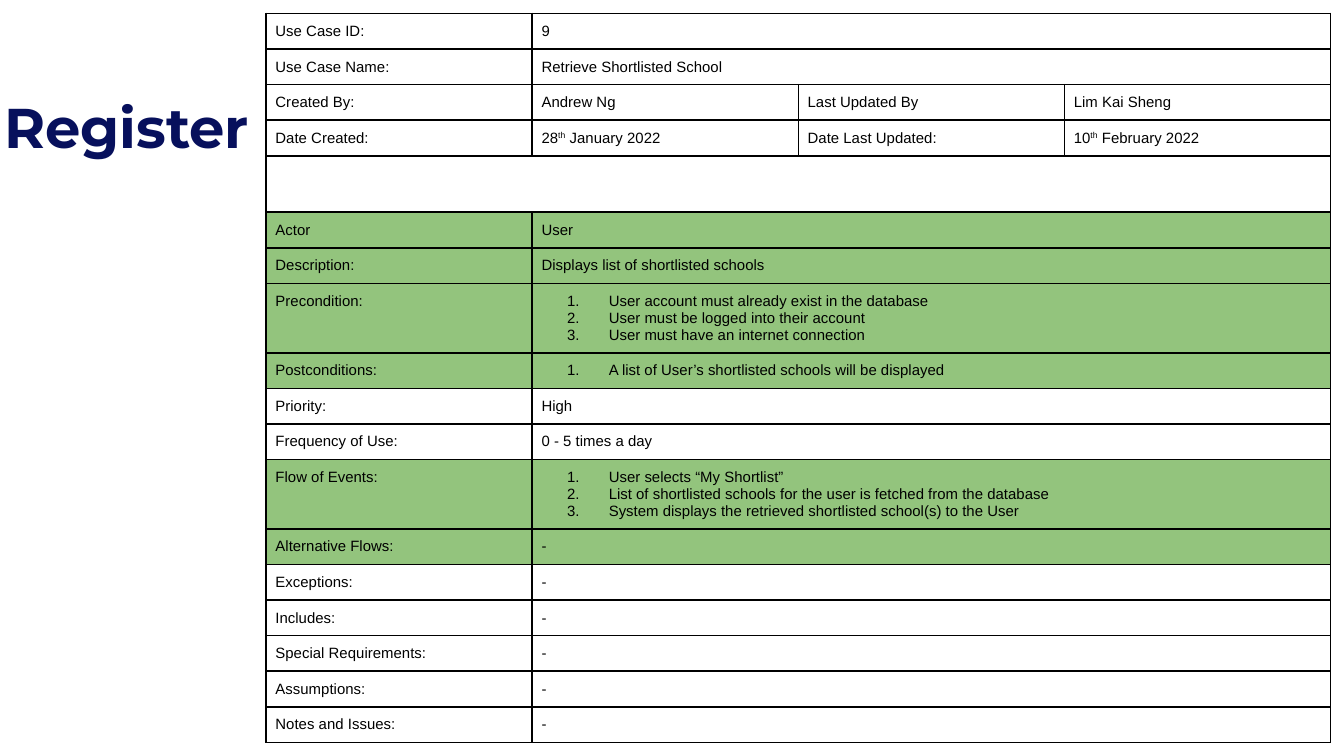
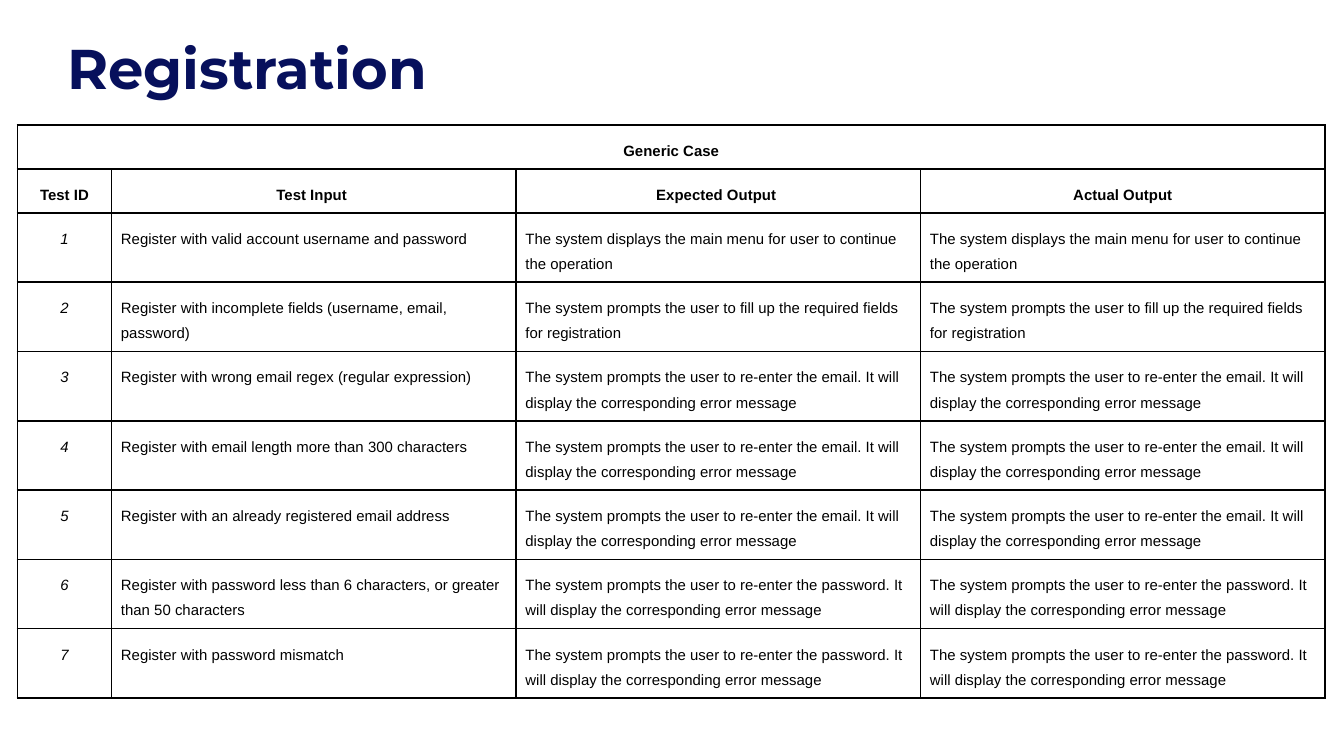
from lxml import etree
from pptx import Presentation
from pptx.dml.color import RGBColor
from pptx.enum.text import MSO_ANCHOR, MSO_AUTO_SIZE, PP_ALIGN
from pptx.oxml.ns import qn
from pptx.util import Inches, Pt

NAVY = RGBColor(0x07, 0x10, 0x5C)
BLACK = RGBColor(0, 0, 0)
GREEN = RGBColor(0x93, 0xC4, 0x7D)
TITLE_FONT = "Montserrat"
BODY_FONT = "Arial"
CELL_MARGIN = Inches(0.07)

USE_CASE_COLUMNS = [1.98] * 4
ONE_LINE, THREE_LINES, SPACER = 0.26, 0.51, 0.42

# A list holds numbered steps; ^ surrounds superscript text.
USE_CASE = [
    ["Use Case ID:", "9"],
    ["Use Case Name:", "Retrieve Shortlisted School"],
    ["Created By:", "Andrew Ng", "Last Updated By", "Lim Kai Sheng"],
    ["Date Created:", "28^th^ January 2022",
     "Date Last Updated:", "10^th^ February 2022"],
    [""],
    ["Actor", "User"],
    ["Description:", "Displays list of shortlisted schools"],
    ["Precondition:", ["User account must already exist in the database",
                       "User must be logged into their account",
                       "User must have an internet connection"]],
    ["Postconditions:",
     ["A list of User’s shortlisted schools will be displayed"]],
    ["Priority:", "High"],
    ["Frequency of Use:", "0 - 5 times a day"],
    ["Flow of Events:",
     ["User selects “My Shortlist”",
      "List of shortlisted schools for the user is fetched from the database",
      "System displays the retrieved shortlisted school(s) to the User "]],
    ["Alternative Flows:", "-"],
    ["Exceptions:", "-"],
    ["Includes:", "-"],
    ["Special Requirements:", "-"],
    ["Assumptions:", "-"],
    ["Notes and Issues:", "-"],
]
HIGHLIGHTED = {"Actor", "Description:", "Precondition:", "Postconditions:",
               "Flow of Events:", "Alternative Flows:"}

TEST_COLUMNS = [0.7, 3.01, 3.01, 3.01]
TEST_HEADINGS = ["Test ID", "Test Input ", "Expected Output ", "Actual Output"]
HEADING_HEIGHT, TEST_HEIGHT = 0.32, 0.51
MAIN_MENU = "The system displays the main menu for user to continue the operation"
FILL_FIELDS = ("The system prompts the user to fill up the required fields "
               "for registration")
RE_ENTER = ("The system prompts the user to re-enter the {}. "
            "It will display the corresponding error message")
TESTS = [
    ("Register with valid account username and password", MAIN_MENU),
    ("Register with incomplete fields (username, email, password)", FILL_FIELDS),
    ("Register with wrong email regex (regular expression)",
     RE_ENTER.format("email")),
    ("Register with email length more than 300 characters",
     RE_ENTER.format("email")),
    ("Register with an already registered email address",
     RE_ENTER.format("email")),
    ("Register with password less than 6 characters, or greater than 50 characters",
     RE_ENTER.format("password")),
    ("Register with password mismatch", RE_ENTER.format("password")),
]


def add_titled_slide(prs, heading, left, top):
    slide = prs.slides.add_slide(prs.slide_layouts[5])
    title = slide.shapes.title
    title.left, title.top = Inches(left), Inches(top)
    title.width, title.height = Inches(5.42), Inches(0.48)
    frame = title.text_frame
    frame.auto_size = MSO_AUTO_SIZE.NONE
    frame.word_wrap = True
    frame.vertical_anchor = MSO_ANCHOR.TOP
    frame.margin_left = frame.margin_right = Inches(0.1)
    frame.margin_top = frame.margin_bottom = Inches(0.1)
    paragraph = frame.paragraphs[0]
    paragraph.alignment = PP_ALIGN.LEFT
    run = paragraph.add_run()
    run.text = heading
    style_font(run.font, TITLE_FONT, 30, NAVY, bold=True)
    return slide


def style_font(font, name, size, color, bold=False, italic=False):
    font.name, font.size = name, Pt(size)
    font.bold, font.italic = bold, italic
    font.color.rgb = color


def add_grid(slide, left, top, columns, rows):
    """Add a plain table with black borders on every cell."""
    frame = slide.shapes.add_table(
        len(rows), len(columns), Inches(left), Inches(top),
        Inches(sum(columns)), Inches(sum(rows)))
    table = frame.table
    table.first_row = table.horz_banding = False
    for column, width in zip(table.columns, columns):
        column.width = Inches(width)
    for row, height in zip(table.rows, rows):
        row.height = Inches(height)
    for cell in table.iter_cells():
        add_borders(cell)
        cell.fill.background()
    return table


def add_borders(cell):
    properties = cell._tc.get_or_add_tcPr()
    for side in ("lnL", "lnR", "lnT", "lnB"):
        line = etree.SubElement(properties, qn(f"a:{side}"), w=str(Pt(1)))
        fill = etree.SubElement(line, qn("a:solidFill"))
        etree.SubElement(fill, qn("a:srgbClr"), val=str(BLACK))


def number_paragraph(paragraph):
    properties = paragraph._p.get_or_add_pPr()
    properties.set("marL", str(Inches(0.5)))
    properties.set("indent", str(Inches(-0.31)))
    color = etree.SubElement(properties, qn("a:buClr"))
    etree.SubElement(color, qn("a:srgbClr"), val=str(BLACK))
    etree.SubElement(properties, qn("a:buFont"), typeface=BODY_FONT)
    etree.SubElement(properties, qn("a:buAutoNum"), type="arabicPeriod")


def write_cell(cell, content, align, spacing=None, bold=False, italic=False):
    cell.margin_left = cell.margin_right = CELL_MARGIN
    cell.margin_top = cell.margin_bottom = CELL_MARGIN
    numbered = isinstance(content, list)
    frame = cell.text_frame
    for index, line in enumerate(content if numbered else [content]):
        paragraph = frame.add_paragraph() if index else frame.paragraphs[0]
        paragraph.alignment = align
        if spacing:
            paragraph.line_spacing = spacing
        if numbered:
            number_paragraph(paragraph)
        for position, part in enumerate(line.split("^")):
            run = paragraph.add_run()
            run.text = part
            style_font(run.font, BODY_FONT, 8, BLACK, bold, italic)
            if position % 2:
                run._r.get_or_add_rPr().set("baseline", "30000")


def use_case_height(entry):
    if len(entry) == 1:
        return SPACER
    return THREE_LINES if isinstance(entry[1], list) and len(entry[1]) == 3 else ONE_LINE


def build_use_case(prs):
    slide = add_titled_slide(prs, "Register", -0.07, 0.59)
    table = add_grid(slide, 1.98, 0.1, USE_CASE_COLUMNS,
                     [use_case_height(entry) for entry in USE_CASE])
    last = len(USE_CASE_COLUMNS) - 1
    for row, entry in enumerate(USE_CASE):
        if len(entry) <= last:
            table.cell(row, len(entry) - 1).merge(table.cell(row, last))
        for column, content in enumerate(entry):
            cell = table.cell(row, column)
            if content:
                write_cell(cell, content, PP_ALIGN.JUSTIFY)
            if entry[0] in HIGHLIGHTED:
                cell.fill.solid()
                cell.fill.fore_color.rgb = GREEN


def build_tests(prs):
    slide = add_titled_slide(prs, "Registration", 0.4, 0.15)
    table = add_grid(slide, 0.13, 0.93, TEST_COLUMNS,
                     [HEADING_HEIGHT] * 2 + [TEST_HEIGHT] * len(TESTS))
    table.cell(0, 0).merge(table.cell(0, len(TEST_COLUMNS) - 1))
    write_cell(table.cell(0, 0), "Generic Case", PP_ALIGN.CENTER, 1.5, bold=True)
    for column, heading in enumerate(TEST_HEADINGS):
        write_cell(table.cell(1, column), heading, PP_ALIGN.CENTER, 1.5, bold=True)
    for number, (test_input, output) in enumerate(TESTS, start=1):
        row = number + 1
        write_cell(table.cell(row, 0), str(number), PP_ALIGN.CENTER, 1.5, italic=True)
        # Every test passed, so the actual output equals the expected one.
        for column, content in enumerate((test_input, output, output), start=1):
            write_cell(table.cell(row, column), content, PP_ALIGN.LEFT, 1.5)


def main():
    prs = Presentation()
    prs.slide_width = Inches(10)
    prs.slide_height = prs.slide_width * 9 // 16
    build_use_case(prs)
    build_tests(prs)
    prs.save("out.pptx")


if __name__ == "__main__":
    main()
